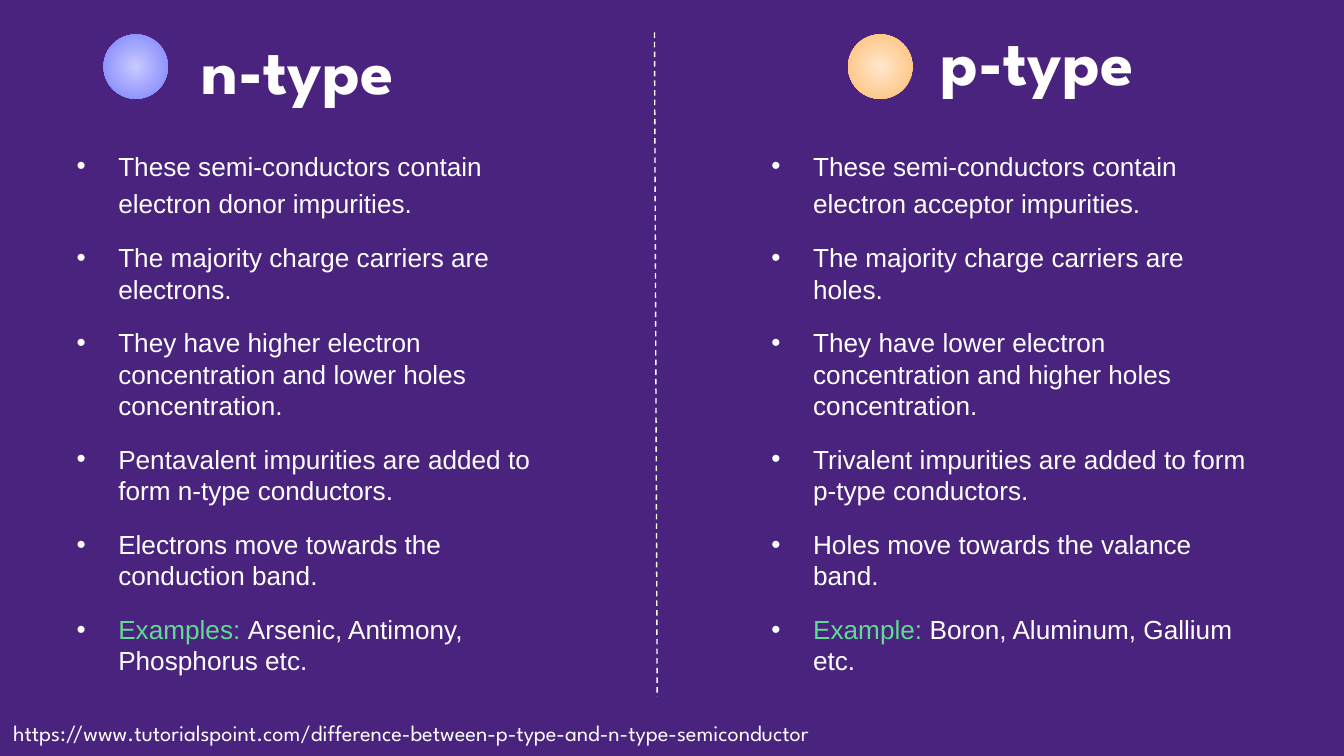
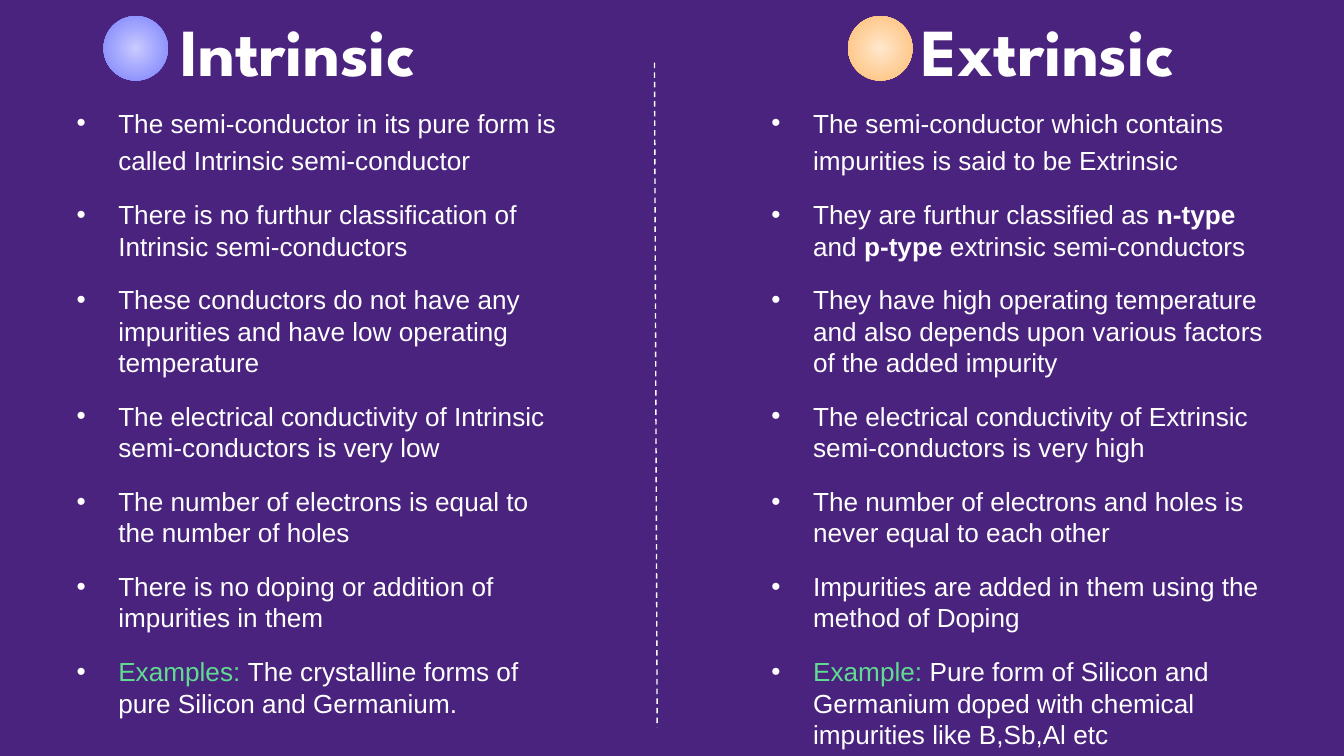
import dataclasses
import typing

import lxml.etree
import pptx
import pptx.dml.color
import pptx.enum.dml
import pptx.enum.shapes
import pptx.enum.text
import pptx.oxml.ns
import pptx.util

COLORS = {
    "background": "4A237E",
    "text": "FFFFFF",
    "example": "60DB92",
    "violet_core": "C9CBFF",
    "violet_rim": "797EFC",
    "orange_core": "FFE8CD",
    "orange_rim": "FEBC71",
}
HEADING_FONT = "League Spartan"
BODY_FONT = "Arial"
COMPARISON_LAYOUT = 4
INDENT = pptx.util.Inches(0.31)
INSET = pptx.util.Inches(0.1)

prs = pptx.Presentation()
prs.slide_width = pptx.util.Inches(10)
prs.slide_height = prs.slide_width * 9 // 16


class Run(typing.NamedTuple):
    text: str
    color: str = "text"
    bold: bool = False


Item = tuple[Run, ...]


class Box(typing.NamedTuple):
    """Left, top, width and height as percentages of the slide."""

    left: float
    top: float
    width: float
    height: float

    def emu(self) -> tuple[int, int, int, int]:
        return (
            int(prs.slide_width * self.left / 100),
            int(prs.slide_height * self.top / 100),
            int(prs.slide_width * self.width / 100),
            int(prs.slide_height * self.height / 100),
        )


@dataclasses.dataclass(frozen=True)
class Side:
    heading_idx: int
    list_idx: int
    ball_left: float
    list_left: float
    hue: str


@dataclasses.dataclass(frozen=True)
class Column:
    heading: str
    heading_left: float
    heading_top: float
    items: tuple[Item, ...]


@dataclasses.dataclass(frozen=True)
class Comparison:
    ball_top: float
    divider_top: float
    list_top: float
    list_height: float
    columns: tuple[Column, Column]
    list_right_inset: int = INSET
    source: str = ""


SIDES = (
    Side(0, 2, 7.7, 4.7, "violet"),
    Side(3, 4, 63.1, 56.4, "orange"),
)


def plain(*texts: str) -> tuple[Item, ...]:
    return tuple((Run(text),) for text in texts)


def example(label: str, text: str) -> Item:
    return Run(label + " ", "example"), Run(text)


COMPARISONS = (
    Comparison(
        ball_top=4.55,
        divider_top=4.27,
        list_top=18.15,
        list_height=71.64,
        columns=(
            Column("n-type", 9.4, 1.9, plain(
                "These semi-conductors contain electron donor impurities.",
                "The majority charge carriers are electrons.",
                "They have higher electron concentration and lower holes concentration.",
                "Pentavalent impurities are added to form n-type conductors.",
                "Electrons move towards the conduction band.",
            ) + (example("Examples:", "Arsenic, Antimony, Phosphorus etc."),)),
            Column("p-type", 64.4, 0.71, plain(
                "These semi-conductors contain electron acceptor impurities.",
                "The majority charge carriers are holes.",
                "They have lower electron concentration and higher holes concentration.",
                "Trivalent impurities are added to form p-type conductors.",
                "Holes move towards the valance band.",
            ) + (example("Example:", "Boron, Aluminum, Gallium etc."),)),
        ),
        list_right_inset=INSET * 2,
        source="https://www.tutorialspoint.com/difference-between-p-type-and-n-type-semiconductor",
    ),
    Comparison(
        ball_top=2.13,
        divider_top=8.3,
        list_top=12.46,
        list_height=87.47,
        columns=(
            Column("Intrinsic", 9.4, -0.53, plain(
                "The semi-conductor in its pure form is called Intrinsic semi-conductor",
                "There is no furthur classification of Intrinsic semi-conductors",
                "These conductors do not have any impurities and have low operating temperature",
                "The electrical conductivity of Intrinsic semi-conductors is very low",
                "The number of electrons is equal to the number of holes",
                "There is no doping or addition of impurities in them",
            ) + (example("Examples:", "The crystalline forms of pure Silicon and Germanium."),)),
            Column("Extrinsic", 65.2, -0.53, plain(
                "The semi-conductor which contains impurities is said to be Extrinsic",
            ) + ((
                Run("They are furthur classified as "),
                Run("n-type", bold=True),
                Run(" and "),
                Run("p-type", bold=True),
                Run(" extrinsic semi-conductors"),
            ),) + plain(
                "They have high operating temperature and also depends upon various factors"
                " of the added impurity",
                "The electrical conductivity of Extrinsic semi-conductors is very high",
                "The number of electrons and holes is never equal to each other",
                "Impurities are added in them using the method of Doping",
            ) + (example(
                "Example:",
                "Pure form of Silicon and Germanium doped with chemical impurities like B,Sb,Al etc",
            ),)),
        ),
    ),
)


def rgb(name: str) -> pptx.dml.color.RGBColor:
    return pptx.dml.color.RGBColor.from_string(COLORS[name])


def child(parent: typing.Any, tag: str, **attributes: str) -> typing.Any:
    return lxml.etree.SubElement(parent, pptx.oxml.ns.qn(tag), **attributes)


def add_run(p: typing.Any, run: Run, font: str, size: float) -> None:
    r = p.add_run()
    r.text = run.text
    r.font.name = font
    r.font.size = pptx.util.Pt(size)
    r.font.bold = run.bold
    r.font.color.rgb = rgb(run.color)


def place(sp: typing.Any, box: Box) -> None:
    sp.left, sp.top, sp.width, sp.height = box.emu()


def prepare(sp: typing.Any, vertical_inset: int, right_inset: int = INSET) -> typing.Any:
    tf = sp.text_frame
    tf.word_wrap = True
    tf.auto_size = pptx.enum.text.MSO_AUTO_SIZE.NONE
    tf.vertical_anchor = pptx.enum.text.MSO_ANCHOR.TOP
    tf.margin_left = INSET
    tf.margin_right = right_inset
    tf.margin_top = tf.margin_bottom = vertical_inset
    return tf


def space(p: typing.Any, line_spacing: float = 1.0) -> None:
    p.line_spacing = line_spacing
    p.space_before = pptx.util.Pt(0)
    p.space_after = pptx.util.Pt(12)


def fill_heading(sp: typing.Any, column: Column) -> None:
    place(sp, Box(column.heading_left, column.heading_top, 25.5, 13.87))
    p = prepare(sp, INSET).paragraphs[0]
    p.alignment = pptx.enum.text.PP_ALIGN.CENTER
    space(p)
    add_run(p, Run(column.heading, bold=True), HEADING_FONT, 36)


def add_bullet(p: typing.Any) -> None:
    pPr = p._p.get_or_add_pPr()
    pPr.set("marL", str(INDENT))
    pPr.set("indent", str(-INDENT))
    child(child(pPr, "a:buClr"), "a:srgbClr", val=COLORS["text"])
    child(pPr, "a:buFont", typeface=BODY_FONT)
    child(pPr, "a:buChar", char="•")


def fill_list(sp: typing.Any, box: Box, right_inset: int, items: tuple[Item, ...]) -> None:
    place(sp, box)
    tf = prepare(sp, INSET // 2, right_inset)
    for i, item in enumerate(items):
        p = tf.add_paragraph() if i else tf.paragraphs[0]
        add_bullet(p)
        space(p, 1.0 if i else 1.2)
        for run in item:
            add_run(p, run, BODY_FONT, 14)


def add_ball(s: typing.Any, left: float, top: float, hue: str) -> None:
    sp = s.shapes.add_shape(
        pptx.enum.shapes.MSO_SHAPE.OVAL, *Box(left, top, 4.8, 8.53).emu()
    )
    sp.shadow.inherit = False
    sp.line.fill.background()
    sp.fill.gradient()
    for stop, position, part in zip(sp.fill.gradient_stops, (0, 1), ("core", "rim")):
        stop.position = position
        stop.color.rgb = rgb(f"{hue}_{part}")
    grad = sp._element.spPr.find(pptx.oxml.ns.qn("a:gradFill"))
    grad.remove(grad.find(pptx.oxml.ns.qn("a:lin")))
    radial = child(grad, "a:path", path="circle")
    child(radial, "a:fillToRect", l="50000", t="50000", r="50000", b="50000")


def add_divider(s: typing.Any, top: float) -> None:
    x, y, width, height = Box(48.7, top, 0.2, 87.9).emu()
    line = s.shapes.add_connector(
        pptx.enum.shapes.MSO_CONNECTOR.STRAIGHT, x, y, x + width, y + height
    )
    line.line.color.rgb = rgb("text")
    line.line.width = pptx.util.Pt(0.75)
    line.line.dash_style = pptx.enum.dml.MSO_LINE.DASH
    child(line._element.spPr, "a:effectLst")


def add_source(s: typing.Any, source: str) -> None:
    sp = s.shapes.add_textbox(*Box(0, 93.38, 90.7, 8).emu())
    add_run(prepare(sp, INSET).paragraphs[0], Run(source), HEADING_FONT, 12)


def add_comparison(comparison: Comparison) -> None:
    s = prs.slides.add_slide(prs.slide_layouts[COMPARISON_LAYOUT])
    holders = {sp.placeholder_format.idx: sp for sp in s.placeholders}
    add_divider(s, comparison.divider_top)
    for side, column in zip(SIDES, comparison.columns):
        fill_heading(holders.pop(side.heading_idx), column)
        add_ball(s, side.ball_left, comparison.ball_top, side.hue)
        box = Box(side.list_left, comparison.list_top, 38.8, comparison.list_height)
        fill_list(holders.pop(side.list_idx), box, comparison.list_right_inset, column.items)
    for sp in holders.values():
        sp._element.getparent().remove(sp._element)
    if comparison.source:
        add_source(s, comparison.source)


def main() -> None:
    fill = prs.slide_master.background.fill
    fill.solid()
    fill.fore_color.rgb = rgb("background")
    for comparison in COMPARISONS:
        add_comparison(comparison)
    prs.save("out.pptx")


if __name__ == "__main__":
    main()
